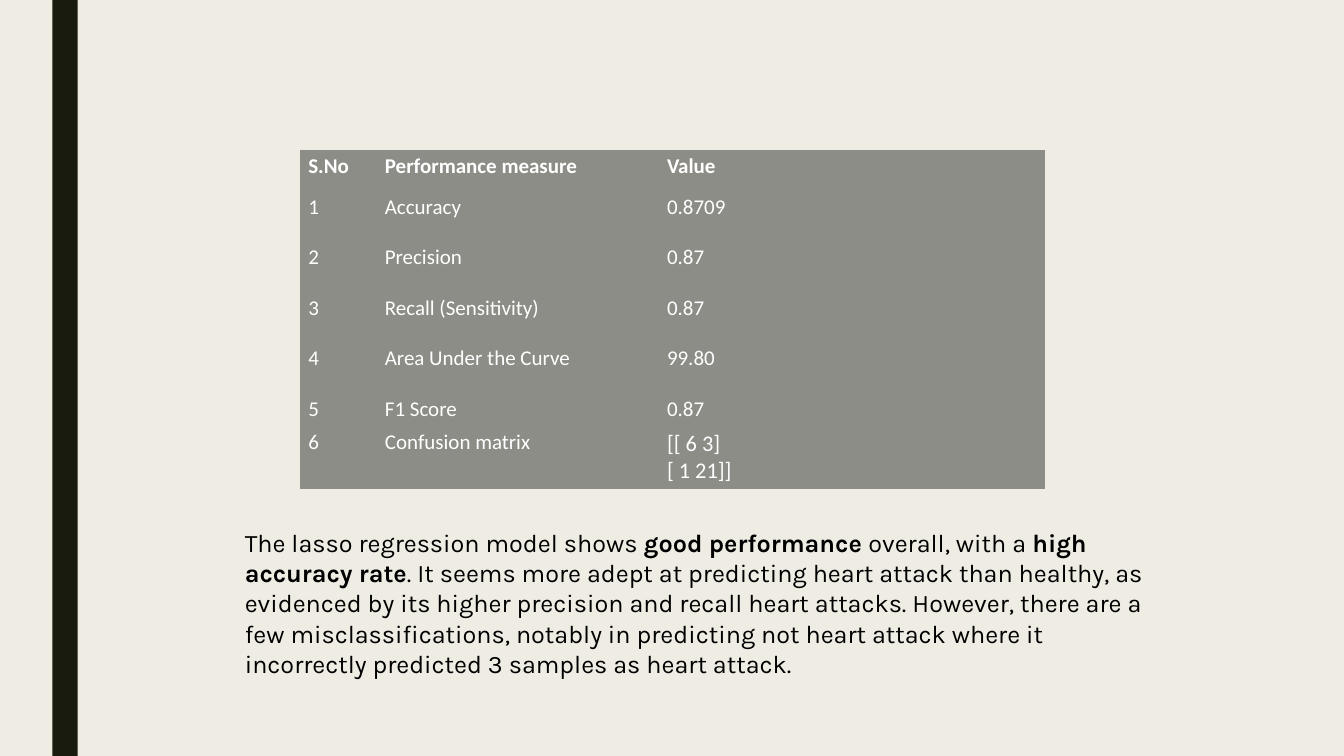
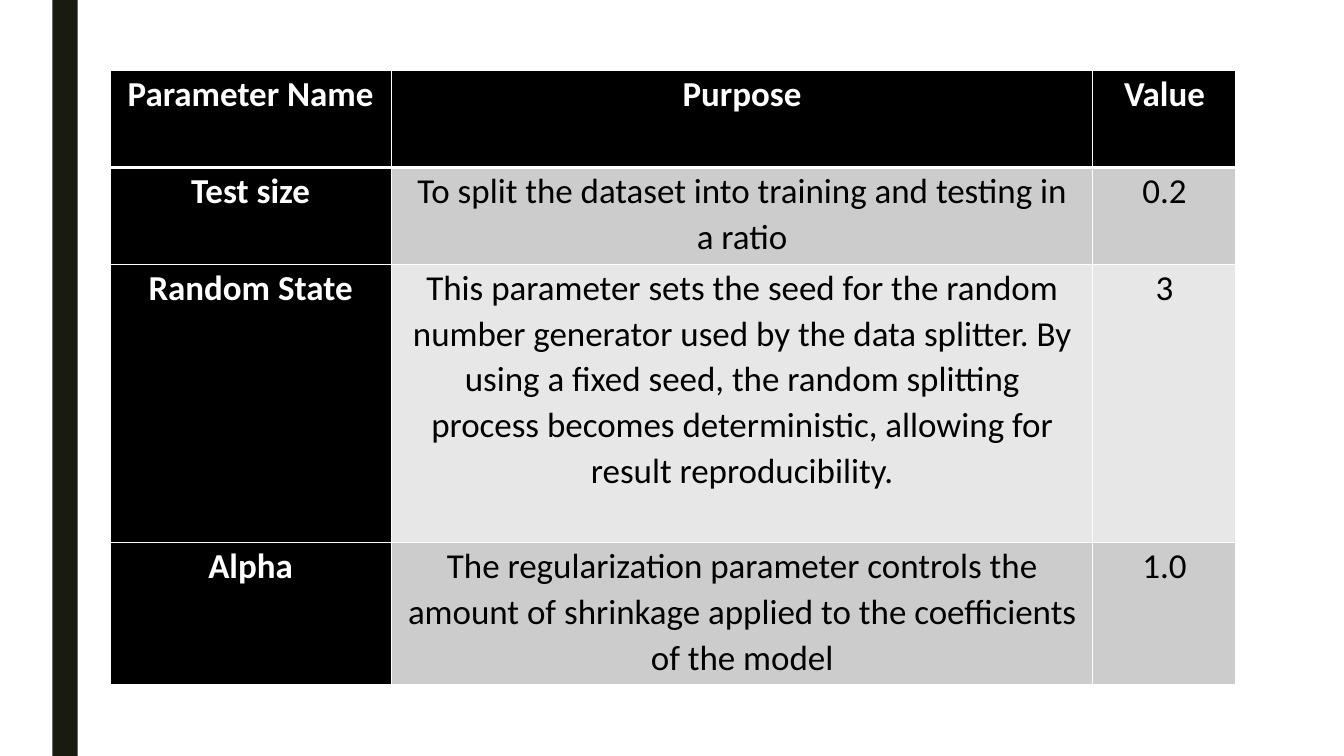
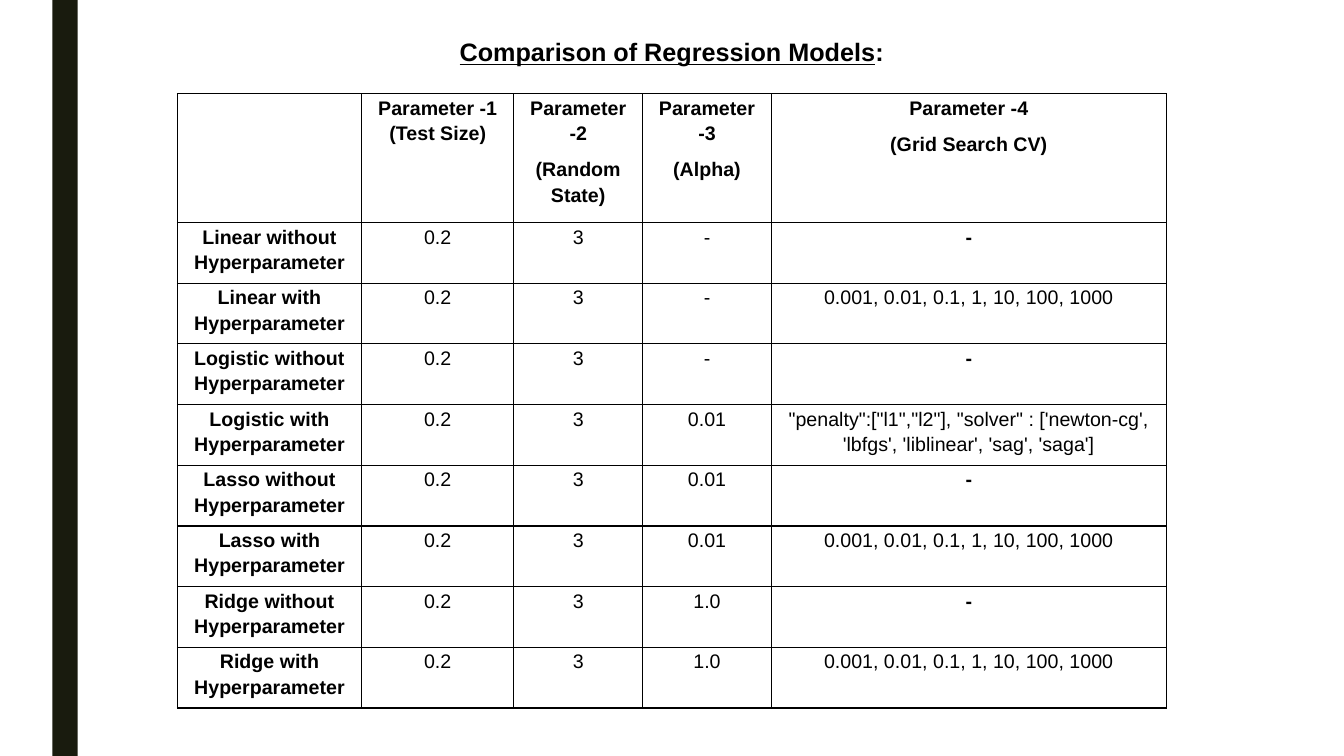
from dataclasses import dataclass

from lxml import etree
from pptx import Presentation
from pptx.dml.color import RGBColor
from pptx.enum.shapes import MSO_SHAPE
from pptx.enum.text import MSO_AUTO_SIZE, PP_ALIGN
from pptx.oxml.ns import qn
from pptx.util import Cm, Pt

RECT = MSO_SHAPE.RECTANGLE
GROW = MSO_AUTO_SIZE.SHAPE_TO_FIT_TEXT
LEFT = PP_ALIGN.LEFT
CENTER = PP_ALIGN.CENTER


@dataclass(frozen=True)
class Theme:
    cream: str = "EFEDE3"
    white: str = "FFFFFF"
    black: str = "000000"
    band: str = "191B0E"
    grey: str = "8C8D86"
    dark: str = "CCCCCC"
    light: str = "E7E7E7"
    sans: str = "Calibri"
    plain: str = "Arial"
    prose: str = "Karla"
    small: int = 14
    cell: int = 15
    code: int = 16
    body: int = 18
    large: int = 25


T = Theme()
WIDTH, HEIGHT = 33.87, 19.05

SCORES = [
    ["S.No", "Performance measure", "Value"],
    ["1", "Accuracy", "0.8709"],
    ["2", "Precision", "0.87"],
    ["3", "Recall (Sensitivity)", "0.87"],
    ["4", "Area Under the Curve", "99.80"],
    ["5", "F1 Score", "0.87"],
    ["6", "Confusion matrix", ["[[ 6 3]", "[ 1 21]]"]],
]

VERDICT = [[
    "The lasso regression model shows ",
    ("good performance ", {"bold": True}),
    "overall, with a ",
    ("high accuracy rate", {"bold": True}),
    ". It seems more adept at predicting heart attack than healthy, as "
    "evidenced by its higher precision and recall heart attacks. However, "
    "there are a few misclassifications, notably in predicting not heart "
    "attack where it incorrectly predicted 3 samples as heart attack.",
]]

PARAMS = [
    ["Parameter Name", "Purpose", "Value"],
    ["Test size",
     "To split the dataset into training and testing in a ratio", "0.2"],
    ["Random State",
     "This parameter sets the seed for the random number generator used by "
     "the data splitter. By using a fixed seed, the random splitting process "
     "becomes deterministic, allowing for result reproducibility.", "3"],
    ["Alpha",
     "The regularization parameter controls the amount of shrinkage applied "
     "to the coefficients of the model", "1.0"],
]

STEPS = "0.001, 0.01, 0.1, 1, 10, 100, 1000"
SOLVER = ("\"penalty\":[\"l1\",\"l2\"], \"solver\" : "
          "['newton-cg', 'lbfgs', 'liblinear', 'sag', 'saga']")
MODELS = [
    ("Linear", "-", "-", STEPS),
    ("Logistic", "-", "0.01", SOLVER),
    ("Lasso", "0.01", "0.01", STEPS),
    ("Ridge", "1.0", "1.0", STEPS),
]
HEADS = [
    "",
    "Parameter -1 (Test Size)",
    ["Parameter -2", "(Random State)"],
    ["Parameter -3", "(Alpha)"],
    ["Parameter -4", "(Grid Search CV)"],
]


def paint(fill, color):
    if color is None:
        fill.background()
    else:
        fill.solid()
        fill.fore_color.rgb = RGBColor.from_string(color)


def write(frame, text, font=T.sans, size=T.body, color=T.black, bold=False,
          line=False, align=LEFT, space=1.0, after=0):
    paras = [text] if isinstance(text, str) else text
    for i, runs in enumerate(paras):
        para = frame.paragraphs[0] if i == 0 else frame.add_paragraph()
        para.alignment = align
        para.line_spacing = space
        para.space_after = Pt(after)
        for part in [runs] if isinstance(runs, str) else runs:
            words, extra = (part, {}) if isinstance(part, str) else part
            run = para.add_run()
            run.text = words
            run.font.name = font
            run.font.size = Pt(size)
            run.font.color.rgb = RGBColor.from_string(color)
            run.font.bold = extra.get("bold", bold)
            run.font.underline = extra.get("line", line)


def label(slide, box, text, **form):
    shape = slide.shapes.add_textbox(*map(Cm, box))
    frame = shape.text_frame
    frame.word_wrap = True
    frame.auto_size = GROW
    write(frame, text, **form)


def edge(cell, color, **sides):
    props = cell._tc.get_or_add_tcPr()
    for side in "LRTB":
        line = etree.SubElement(props, qn(f"a:ln{side}"),
                                w=str(Pt(sides[side])))
        fill = etree.SubElement(line, qn("a:solidFill"))
        etree.SubElement(fill, qn("a:srgbClr"), val=color)


def grid(slide, box, data, cols, rows, pad, rule, weight, look, head=None):
    frame = slide.shapes.add_table(len(rows), len(cols), *map(Cm, box))
    table = frame.table
    table.first_row = table.horz_banding = False
    for col, part in zip(table.columns, cols):
        col.width = Cm(box[2] * part / sum(cols))
    for row, part in zip(table.rows, rows):
        row.height = Cm(box[3] * part / sum(rows))
    for r, line in enumerate(data):
        for c, text in enumerate(line):
            cell = table.cell(r, c)
            cell.margin_left = cell.margin_right = Cm(pad[0])
            cell.margin_top = cell.margin_bottom = Cm(pad[1])
            thick = head or weight
            edge(cell, rule, L=weight, R=weight,
                 T=thick if r == 1 else weight,
                 B=thick if r == 0 else weight)
            fill, form = look(r, c, text)
            paint(cell.fill, fill)
            if text:
                write(cell.text_frame, text, **form)


def base(deck, color):
    slide = deck.slides.add_slide(deck.slide_layouts[6])
    paint(slide.background.fill, color)
    band = slide.shapes.add_shape(RECT, Cm(1.32), 0, Cm(0.64), Cm(HEIGHT))
    band.shadow.inherit = False
    paint(band.fill, T.band)
    band.line.fill.background()
    return slide


def scores(slide, box):
    x, y, w, h = box

    def look(r, c, text):
        size = T.cell if isinstance(text, str) else T.code
        return T.grey, dict(size=size, color=T.white, bold=r == 0)

    grid(slide, (x + 1.65, y, 18.74, 8.52), SCORES, [1.93, 7.11, 9.7],
         [1.02] + [1.27] * 4 + [0.85, 1.57], (0.2, 0.1), T.grey, 0.25, look)
    label(slide, (x, y + 9.38, w, h - 9.38), VERDICT, font=T.prose)


def params(slide, box):
    def look(r, c, text):
        head = r == 0 or c == 0
        fill = T.black if head else T.dark if r % 2 else T.light
        return fill, dict(size=T.large, color=T.white if head else T.black,
                          bold=head, align=CENTER, space=1.07, after=8)

    grid(slide, box, PARAMS, [7.09, 17.68, 3.61], [2.44, 2.44, 7.01, 3.58],
         (0.41, 0), T.white, 1, look, head=3)


def models(slide, box):
    x, y, w, h = box
    data = [HEADS]
    for name, bare, tuned, search in MODELS:
        data.append([f"{name} without Hyperparameter", "0.2", "3", bare, "-"])
        data.append([f"{name} with Hyperparameter", "0.2", "3", tuned, search])

    def look(r, c, text):
        bold = r == 0 or c == 0 or (c == 4 and text == "-")
        return None, dict(font=T.plain, size=T.small, bold=bold,
                          align=CENTER, space=1.15, after=8)

    grid(slide, (x + 1.93, y + 1.57, 24.92, h - 1.57), data,
         [4.65, 3.84, 3.25, 3.25, 9.96], [3.25] + [1.53] * 8,
         (0.23, 0.01), T.black, 1, look)
    title = [[("Comparison of Regression Models", {"line": True}), ":"]]
    label(slide, (x, y, w, 1.02), title, font=T.plain, bold=True,
          align=CENTER)


def main():
    deck = Presentation()
    deck.slide_width, deck.slide_height = Cm(WIDTH), Cm(HEIGHT)
    scores(base(deck, T.cream), (5.92, 3.78, 23.85, 12.83))
    params(base(deck, T.white), (2.77, 1.78, 28.38, 15.47))
    models(base(deck, T.white), (2.54, 0.79, 28.78, 17.05))
    deck.save("out.pptx")


if __name__ == "__main__":
    main()
